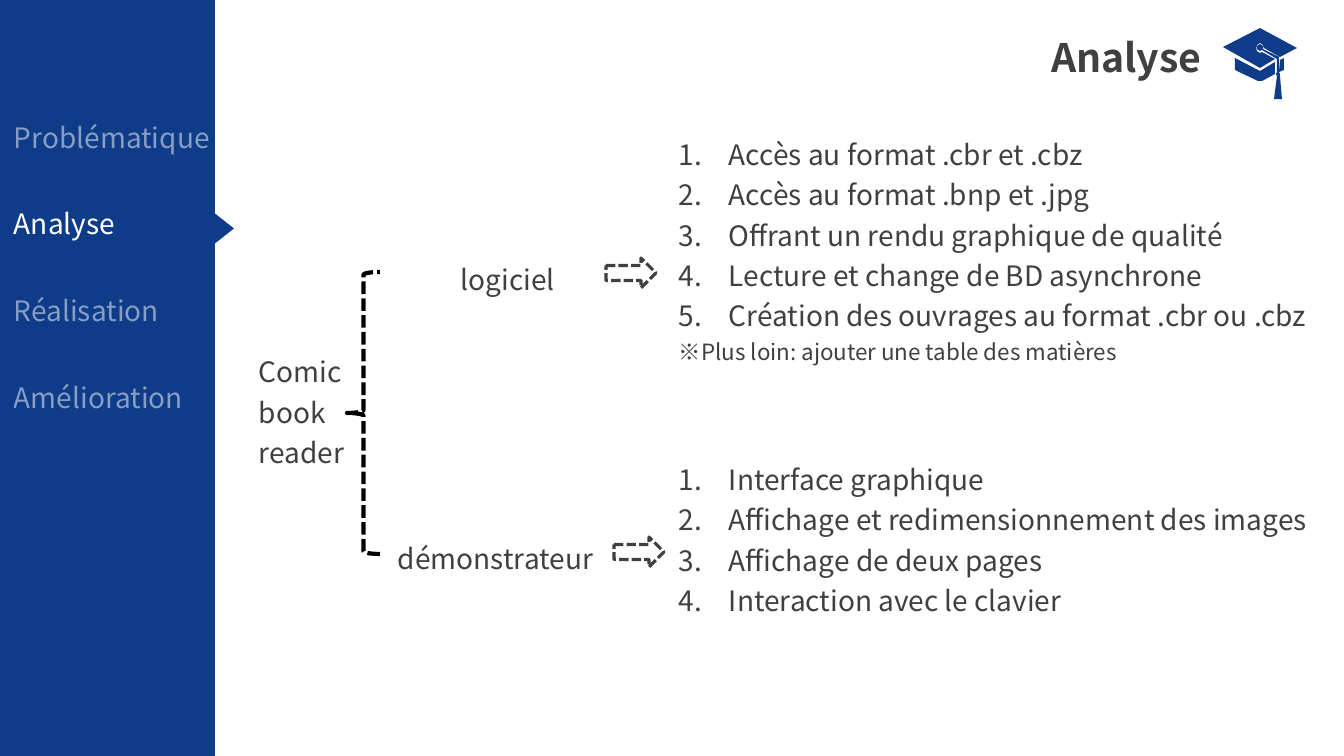
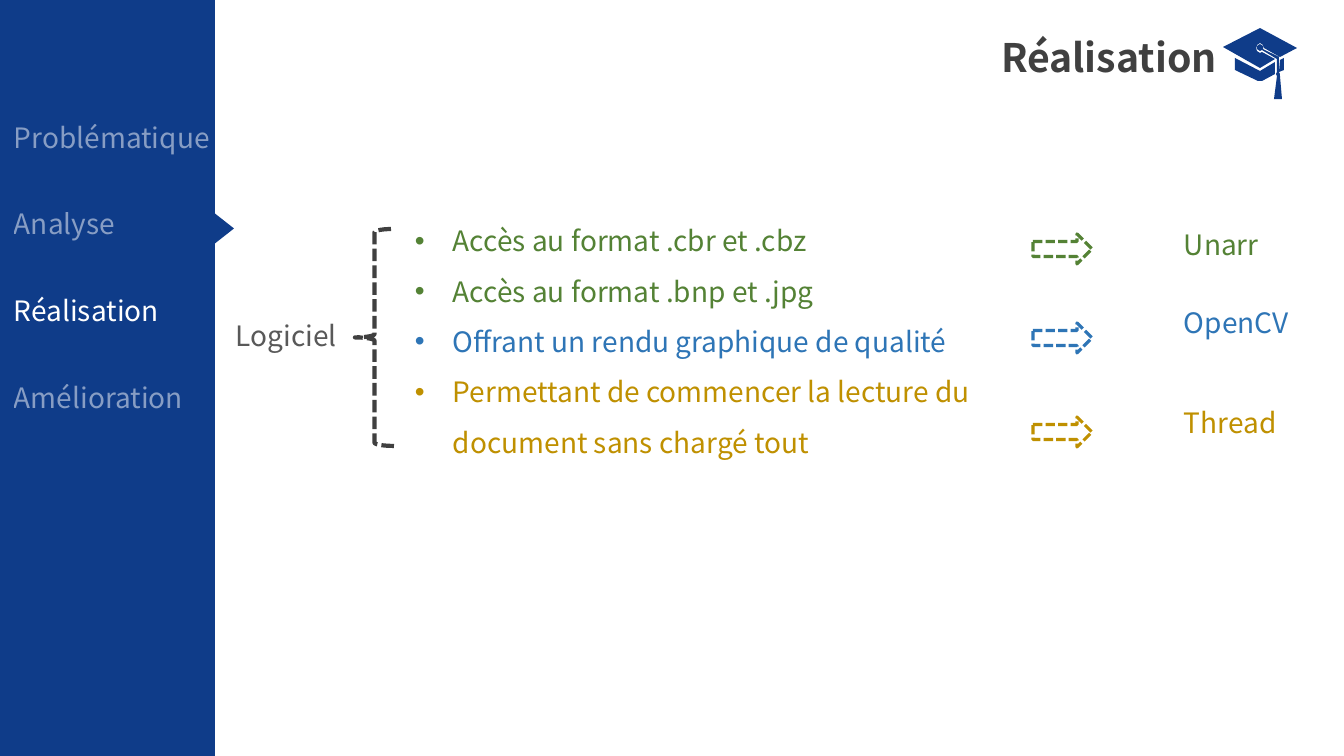
from dataclasses import dataclass

from lxml.etree import SubElement
from pptx import Presentation
from pptx.dml.color import RGBColor
from pptx.enum.dml import MSO_LINE_DASH_STYLE as Dash
from pptx.enum.shapes import MSO_SHAPE as Shape
from pptx.enum.text import MSO_ANCHOR as Anchor, MSO_AUTO_SIZE as AutoSize, PP_ALIGN as Align
from pptx.oxml.ns import qn
from pptx.util import Emu, Pt

EMU_PER_PIXEL = 914400 / 100.8
FONT = "Noto Sans CJK SC"
NAVY, WHITE, BLACK = "0F3C89", "FFFFFF", "000000"
DARK, GREY = "404040", "595959"
GREEN, BLUE, GOLD = "548235", "2E75B6", "BF9000"
SECTIONS = ["Problématique", "Analyse", "Réalisation", "Amélioration"]
CAP_OUTLINES = [
    [(1279, 72), (1284, 70), (1284, 58), (1280, 60)],
    [(1235, 58), (1235, 70), (1258, 81), (1262, 81), (1275, 74), (1275, 62), (1260, 71)],
    [(1297, 48), (1260, 28), (1223, 47), (1260, 68), (1275, 59), (1262, 52), (1260, 53),
     (1257, 51), (1256, 48), (1257, 45), (1260, 43), (1263, 45), (1264, 48), (1280, 57)],
    [(1279, 57), (1263, 49), (1263, 46), (1260, 44), (1257, 46), (1257, 49), (1260, 51),
     (1262, 50), (1277, 59), (1277, 72), (1276, 74), (1277, 76), (1274, 99), (1282, 99),
     (1280, 76), (1280, 74), (1279, 72)],
]


def px(length):
    """Turn pixels into EMU."""
    return Emu(round(length * EMU_PER_PIXEL))


def rgb(value):
    """Turn a hex string into a colour."""
    return RGBColor.from_string(value)


@dataclass
class Line:
    """One paragraph with its look."""
    text: str
    color: str = DARK
    size: int = 20
    bold: bool = False
    opacity: int = 100
    bullet: str = ""


class Deck:
    """Holds the shared style and the current slide."""

    def __init__(self):
        """Start an empty widescreen presentation."""
        self.presentation = Presentation()
        self.presentation.slide_width = px(1344)
        self.presentation.slide_height = px(756)
        self.slide = None

    def section(self, title, left, width):
        """Add a slide with its title, cap and section menu."""
        self.slide = self.presentation.slides.add_slide(self.presentation.slide_layouts[5])
        placeholder = self.slide.shapes.title
        self.place(placeholder, (left, 28, width, 57))
        self.fill_text(placeholder.text_frame, [Line(title, size=28, bold=True)], wrap=False)
        self.cap()
        self.solid(Shape.RECTANGLE, (0, 0, 215, 756))
        self.solid(Shape.ISOSCELES_TRIANGLE, (207, 218, 33, 21)).rotation = 90
        for index, name in enumerate(SECTIONS):
            opacity = 100 if name == title else 50
            box = (4, 116 + index * 260 // 3, 238, 44)
            self.text(box, [Line(name, WHITE, opacity=opacity)], wrap=False)

    def place(self, shape, box):
        """Move and size a shape."""
        shape.left, shape.top, shape.width, shape.height = map(px, box)

    def paint(self, shape):
        """Fill a shape with navy and drop its outline."""
        shape.shadow.inherit = False
        shape.fill.solid()
        shape.fill.fore_color.rgb = rgb(NAVY)
        shape.line.fill.background()
        return shape

    def solid(self, kind, box):
        """Add a filled preset shape."""
        return self.paint(self.slide.shapes.add_shape(kind, *map(px, box)))

    def dashed(self, kind, box, color, weight):
        """Add an unfilled preset shape with a dashed outline."""
        shape = self.slide.shapes.add_shape(kind, *map(px, box))
        shape.shadow.inherit = False
        shape.fill.background()
        shape.line.color.rgb = rgb(color)
        shape.line.width = Pt(weight)
        shape.line.dash_style = Dash.SQUARE_DOT

    def brace(self, box, color):
        """Add a dashed left brace."""
        self.dashed(Shape.LEFT_BRACE, box, color, 3)

    def arrow(self, box, color=DARK):
        """Add a dashed block arrow."""
        self.dashed(Shape.RIGHT_ARROW, box, color, 2.25)

    def cap(self):
        """Draw the graduation cap."""
        first, *others = CAP_OUTLINES
        builder = self.slide.shapes.build_freeform(*first[0], scale=EMU_PER_PIXEL)
        builder.add_line_segments(first[1:])
        for outline in others:
            builder.move_to(*outline[0])
            builder.add_line_segments(outline[1:])
        self.paint(builder.convert_to_shape())

    def text(self, box, lines, **options):
        """Add a text box."""
        shape = self.slide.shapes.add_textbox(*map(px, box))
        self.fill_text(shape.text_frame, lines, **options)

    def fill_text(self, frame, lines, spacing=1.0, indent=0, wrap=True):
        """Fill a text frame with formatted paragraphs."""
        frame.text = "\n".join(line.text for line in lines)
        frame.word_wrap = wrap
        frame.auto_size = AutoSize.NONE
        frame.vertical_anchor = Anchor.TOP
        for paragraph, line in zip(frame.paragraphs, lines):
            paragraph.alignment = Align.LEFT
            paragraph.line_spacing = spacing
            if line.bullet:
                self.bullet(paragraph, line.bullet, indent)
            self.style(paragraph.runs[0], line)

    def bullet(self, paragraph, mark, indent):
        """Give a paragraph a number or a bullet sign."""
        properties = paragraph._p.get_or_add_pPr()
        properties.set("marL", str(px(indent)))
        properties.set("indent", str(-px(indent)))
        if mark == "1.":
            SubElement(properties, qn("a:buAutoNum"), type="arabicPeriod")
        else:
            SubElement(properties, qn("a:buFont"), typeface="Arial")
            SubElement(properties, qn("a:buChar"), char=mark)

    def style(self, run, line):
        """Set the font, size, colour and opacity of a run."""
        font = run.font
        font.name, font.size, font.bold = FONT, Pt(line.size), line.bold
        font.color.rgb = rgb(line.color)
        properties = run._r.get_or_add_rPr()
        SubElement(properties, qn("a:ea"), typeface=FONT)
        if line.opacity < 100:
            color = properties.find(".//" + qn("a:srgbClr"))
            SubElement(color, qn("a:alpha"), val=str(line.opacity * 1000))


def numbered(*texts):
    """Make numbered lines."""
    return [Line(text, bullet="1.") for text in texts]


def add_analysis(deck):
    """Build the analysis slide."""
    deck.section("Analyse", 1041, 175)
    deck.text((249, 343, 115, 129), [Line("Comic book reader")], spacing=1.2)
    deck.text((451, 251, 117, 47), [Line("logiciel")], spacing=1.2, wrap=False)
    deck.text((388, 530, 221, 47), [Line("démonstrateur")], spacing=1.2, wrap=False)
    software = numbered(
        "Accès au format .cbr et .cbz",
        "Accès au format .bnp et .jpg",
        "Offrant un rendu graphique de qualité",
        "Lecture et change de BD asynchrone",
        "Création des ouvrages au format .cbr ou .cbz",
    )
    software.append(Line("※Plus loin: ajouter une table des matières", size=16))
    demonstrator = numbered(
        "Interface graphique",
        "Affichage et redimensionnement des images",
        "Affichage de deux pages",
        "Interaction avec le clavier",
    )
    deck.text((669, 126, 677, 244), software, spacing=1.2, indent=50)
    deck.text((669, 451, 681, 169), demonstrator, spacing=1.2, indent=50)
    deck.brace((347, 272, 33, 282), BLACK)
    deck.arrow((606, 258, 50, 30))
    deck.arrow((614, 537, 50, 30))


def add_realisation(deck):
    """Build the realisation slide."""
    deck.section("Réalisation", 991, 238)
    deck.text((226, 314, 124, 44), [Line("Logiciel", GREY)], wrap=False)
    features = [
        ("Accès au format .cbr et .cbz", GREEN),
        ("Accès au format .bnp et .jpg", GREEN),
        ("Offrant un rendu graphique de qualité", BLUE),
        ("Permettant de commencer la lecture du document sans chargé tout", GOLD),
    ]
    lines = [Line(text, color, bullet="•") for text, color in features]
    deck.text((405, 202, 629, 259), lines, spacing=1.5, indent=38)
    deck.brace((355, 229, 39, 217), DARK)
    tools = [
        ("Unarr", GREEN, 234, 223),
        ("OpenCV", BLUE, 323, 301),
        ("Thread", GOLD, 417, 401),
    ]
    for name, color, arrow_top, text_top in tools:
        deck.arrow((1033, arrow_top, 59, 30), color)
        deck.text((1174, text_top, 133, 44), [Line(name, color)], wrap=False)


deck = Deck()
add_analysis(deck)
add_realisation(deck)
deck.presentation.save("out.pptx")
